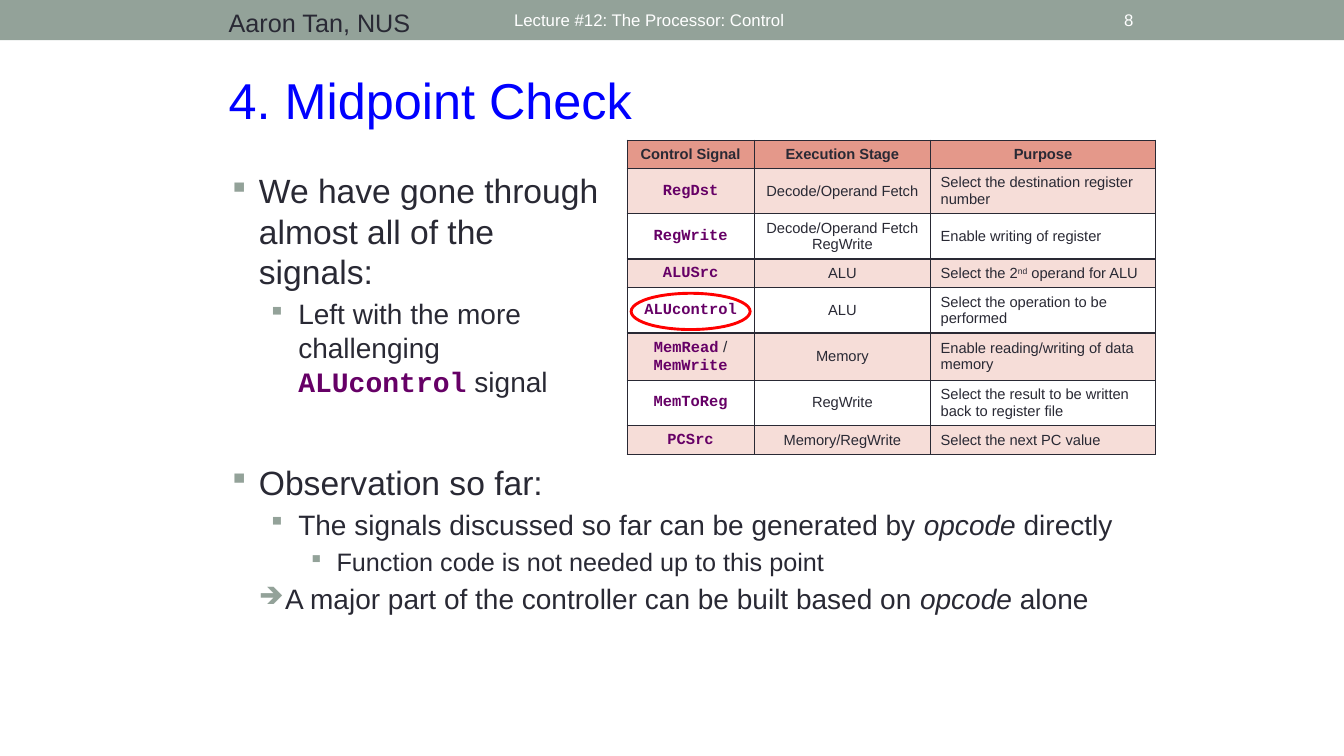
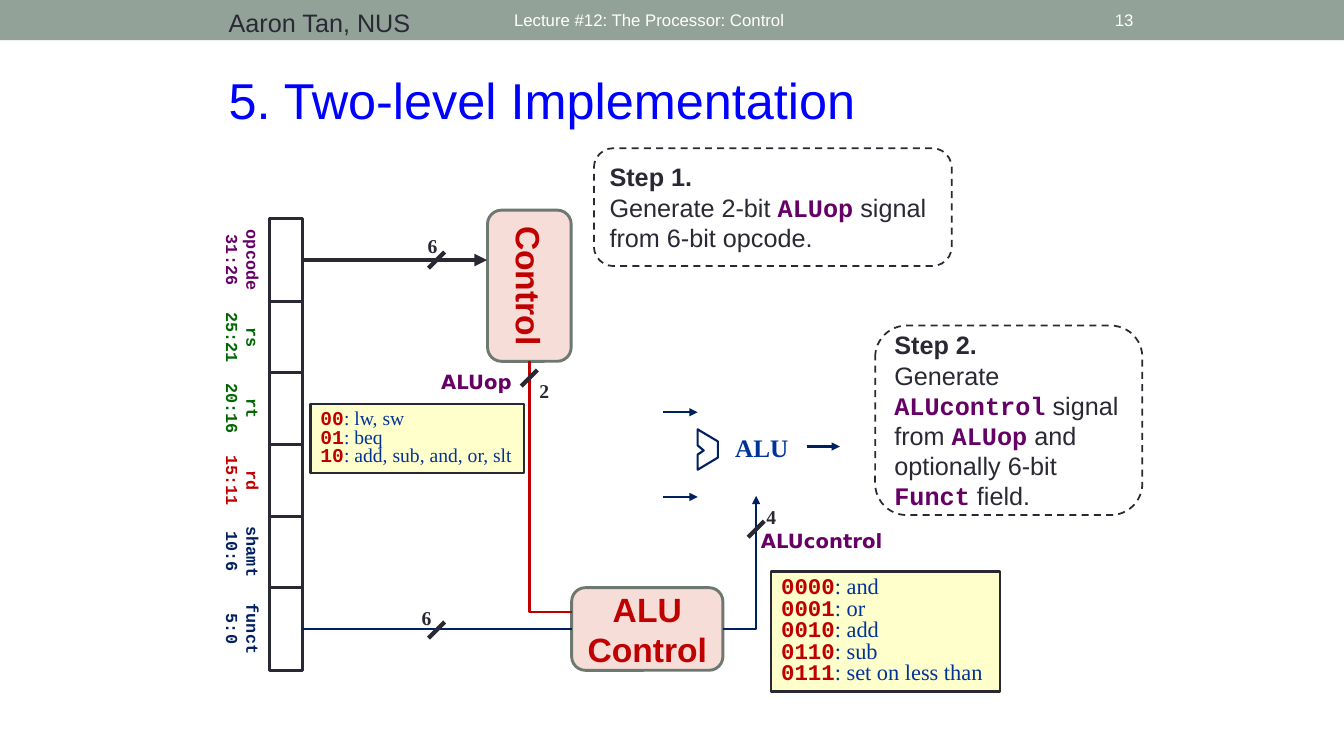
from lxml import etree
from pptx import Presentation
from pptx.dml.color import RGBColor
from pptx.enum.dml import MSO_LINE
from pptx.enum.shapes import MSO_CONNECTOR, MSO_SHAPE
from pptx.enum.text import MSO_ANCHOR, PP_ALIGN
from pptx.oxml.ns import qn
from pptx.util import Inches, Pt

RECTANGLE, ROUNDED, ELLIPSE = MSO_SHAPE.RECTANGLE, MSO_SHAPE.ROUNDED_RECTANGLE, MSO_SHAPE.OVAL
STRAIGHT, ELBOW = MSO_CONNECTOR.STRAIGHT, MSO_CONNECTOR.ELBOW
LEFT, CENTER, RIGHT = PP_ALIGN.LEFT, PP_ALIGN.CENTER, PP_ALIGN.RIGHT
TOP, MIDDLE = MSO_ANCHOR.TOP, MSO_ANCHOR.MIDDLE
SANS, MONO, SERIF, LABEL = "Arial", "Courier New", "Times New Roman", "DejaVu Sans"

COLORS = {
    "band": "93A299", "ink": "292934", "white": "FFFFFF", "title": "0000FF",
    "purple": "660066", "green": "006600", "red": "C00000", "navy": "002060",
    "blue": "003399", "header": "E4988A", "pink": "F6DDD8", "yellow": "FFFFCC",
    "edge": "6D7871", "ring": "FF0000",
}
RGB = {name: RGBColor.from_string(value) for name, value in COLORS.items()}
STYLES = {
    "code": {"name": MONO, "bold": True, "color": "purple"},
    "bits": {"name": MONO, "bold": True, "color": "red"},
    "bold": {"bold": True},
    "italic": {"italic": True},
    "superscript": {"baseline": "30000"},
}
BULLETS = {
    "first": (24, "▪", 0.3, 0.3),
    "second": (20, "▪", 0.69, 0.3),
    "third": (18, "▪", 1.07, 0.28),
    "arrow": (20, "➔", 0.56, 0.26),
}


def add_box(page, kind, left, top, width, height, fill=None, line=None, weight=1.0):
    place = [Inches(value) for value in (left, top, width, height)]
    if kind is None:
        return page.shapes.add_textbox(*place)
    box = page.shapes.add_shape(kind, *place)
    box.shadow.inherit = False
    if fill:
        box.fill.solid()
        box.fill.fore_color.rgb = RGB[fill]
    else:
        box.fill.background()
    if line:
        box.line.color.rgb = RGB[line]
        box.line.width = Pt(weight)
    else:
        box.line.fill.background()
    return box


def write_text(frame, lines, size, color="ink", font=SANS, bold=False, align=LEFT,
               anchor=MIDDLE, wrap=True, spacing=None, levels=None):
    frame.word_wrap = wrap
    frame.vertical_anchor = anchor
    for index, line in enumerate(lines):
        para = frame.add_paragraph() if index else frame.paragraphs[0]
        para.alignment = align
        if spacing:
            para.line_spacing = spacing
        if levels:
            size, marker, indent, hang = BULLETS[levels[index]]
            properties = para._p.get_or_add_pPr()
            properties.set("marL", str(Inches(indent)))
            properties.set("indent", str(-Inches(hang)))
            tint = etree.SubElement(properties, qn("a:buClr"))
            etree.SubElement(tint, qn("a:srgbClr"), val=COLORS["band"])
            etree.SubElement(properties, qn("a:buSzPct"), val="85000")
            etree.SubElement(properties, qn("a:buChar"), char=marker)
            if index:
                para.space_before = Pt(size * 0.2)
        para.font.size = Pt(size)
        para.font.name = font
        para.font.bold = bold
        para.font.color.rgb = RGB[color]
        for piece in [line] if isinstance(line, str) else line:
            text, style = (piece, None) if isinstance(piece, str) else piece
            span = para.add_run()
            span.text = text
            for attribute, value in STYLES.get(style, {}).items():
                if attribute == "color":
                    span.font.color.rgb = RGB[value]
                elif attribute == "baseline":
                    span._r.get_or_add_rPr().set("baseline", value)
                else:
                    setattr(span.font, attribute, value)


deck = Presentation()
deck.slide_width, deck.slide_height = Inches(13.33), Inches(7.5)

pages = []
for title, number in [("4. Midpoint Check", "8"), ("5. Two-level Implementation", "13")]:
    page = deck.slides.add_slide(deck.slide_layouts[6])
    add_box(page, RECTANGLE, 0, 0, 13.33, 0.4, "band")
    for place, text, size, color, align, anchor in [
        ((5, 0.02, 6, 0.36), "Lecture #12: The Processor: Control", 12, "white", LEFT, MIDDLE),
        ((2.17, 0.02, 3.17, 0.36), "Aaron Tan, NUS", 18, "ink", LEFT, TOP),
        ((2.17, 0.64, 9.17, 0.71), title, 36, "title", LEFT, TOP),
        ((10.39, 0.02, 0.95, 0.36), number, 12, "white", RIGHT, MIDDLE),
    ]:
        box = add_box(page, None, *place)
        write_text(box.text_frame, [text], size, color, align=align, anchor=anchor)
    pages.append(page)
check_page, diagram_page = pages

signals = [
    (["Control Signal"], ["Execution Stage"], ["Purpose"]),
    ([[("RegDst", "code")]], ["Decode/Operand Fetch"], ["Select the destination register number"]),
    ([[("RegWrite", "code")]], ["Decode/Operand Fetch", "RegWrite"], ["Enable writing of register"]),
    ([[("ALUSrc", "code")]], ["ALU"],
     [["Select the 2", ("nd", "superscript"), " operand for ALU"]]),
    ([[("ALUcontrol", "code")]], ["ALU"], ["Select the operation to be performed"]),
    ([[("MemRead", "code"), " / ", ("MemWrite", "code")]], ["Memory"],
     ["Enable reading/writing of data memory"]),
    ([[("MemToReg", "code")]], ["RegWrite"], ["Select the result to be written back to register file"]),
    ([[("PCSrc", "code")]], ["Memory/RegWrite"], ["Select the next PC value"]),
]
table = check_page.shapes.add_table(
    len(signals), 3, Inches(6.22), Inches(1.39), Inches(5.24), Inches(3.11)).table
table.first_row = table.horz_banding = False
for column, width in zip(table.columns, [1.26, 1.75, 2.23]):
    column.width = Inches(width)
for row, height in zip(table.rows, [0.28, 0.45, 0.45, 0.28, 0.45, 0.46, 0.45, 0.29]):
    row.height = Inches(height)
for row_index, texts in enumerate(signals):
    header = row_index == 0
    fill = "header" if header else "pink" if row_index % 2 else "white"
    for column_index, lines in enumerate(texts):
        cell = table.cell(row_index, column_index)
        for side in ("a:lnL", "a:lnR", "a:lnT", "a:lnB"):
            border = etree.SubElement(cell._tc.get_or_add_tcPr(), qn(side), w=str(Pt(1)))
            paint = etree.SubElement(border, qn("a:solidFill"))
            etree.SubElement(paint, qn("a:srgbClr"), val=COLORS["ink"])
        cell.fill.solid()
        cell.fill.fore_color.rgb = RGB[fill]
        cell.vertical_anchor = MIDDLE
        size = 11 if column_index == 0 and not header else 10.5
        align = CENTER if header or column_index < 2 else LEFT
        write_text(cell.text_frame, lines, size, bold=header, align=align, anchor=None)

progress = add_box(check_page, None, 2.17, 1.64, 3.93, 2.52)
write_text(progress.text_frame, [
    "We have gone through almost all of the signals:",
    ["Left with the more challenging ", ("ALUcontrol", "code"), " signal"],
], 24, anchor=TOP, levels=["first", "second"])
add_box(check_page, ELLIPSE, 6.26, 2.91, 1.18, 0.36, line="ring", weight=2.08)
observation = add_box(check_page, None, 2.17, 4.53, 9.1, 1.85)
write_text(observation.text_frame, [
    "Observation so far:",
    ["The signals discussed so far can be generated by ", ("opcode", "italic"), " directly"],
    "Function code is not needed up to this point",
    ["A major part of the controller can be built based on ", ("opcode", "italic"), " alone"],
], 24, anchor=TOP, levels=["first", "second", "third", "arrow"])

fields = []
field_top = 2.17
for name, bits, height, color in [
    ("opcode", "31:26", 0.82, "purple"), ("rs", "25:21", 0.71, "green"),
    ("rt", "20:16", 0.71, "green"), ("rd", "15:11", 0.71, "red"),
    ("shamt", "10:6", 0.71, "navy"), ("funct", "5:0", 0.82, "navy"),
]:
    label = add_box(diagram_page, None, 2.41 - height / 2, field_top + height / 2 - 0.25, height, 0.5)
    label.rotation = 90
    write_text(label.text_frame, [name, bits], 12, color, MONO, True, CENTER)
    fields.append(add_box(diagram_page, RECTANGLE, 2.67, field_top, 0.33, height,
                          "white", "ink", 2.08))
    field_top += height

control = add_box(diagram_page, ROUNDED, 4.5, 2.42, 1.5, 0.83, "pink", "edge", 2.08)
control.rotation = 90
alu_control = add_box(diagram_page, ROUNDED, 5.67, 5.83, 1.5, 0.82, "pink", "edge", 2.08)
for box, text in [(control, "Control"), (alu_control, "ALU Control")]:
    write_text(box.text_frame, [text], 24, "red", bold=True, align=CENTER)

outline = [(6.92, 4.26), (7.12, 4.38), (7.12, 4.54), (6.92, 4.66),
           (6.92, 4.51), (6.98, 4.47), (6.92, 4.42)]
points = [(Inches(x), Inches(y)) for x, y in outline]
builder = diagram_page.shapes.build_freeform(*points[0])
builder.add_line_segments(points[1:], close=True)
alu = builder.convert_to_shape()
alu.shadow.inherit = False
alu.fill.solid()
alu.fill.fore_color.rgb = RGB["white"]
alu.line.color.rgb = RGB["navy"]
alu.line.width = Pt(1.5)

wires = [
    (STRAIGHT, (3, 2.58, 4.83, 2.58), "ink", 3, True, fields[0], None),
    (STRAIGHT, (3, 6.24, 5.67, 6.24), "navy", 1.75, False, fields[-1], alu_control),
    (STRAIGHT, (6.58, 4.09, 6.92, 4.09), "navy", 1.5, True, None, None),
    (STRAIGHT, (6.58, 4.93, 6.92, 4.93), "navy", 1.5, True, None, None),
    (STRAIGHT, (8, 4.43, 8.33, 4.43), "navy", 1.5, True, None, None),
    (ELBOW, (5.67, 6.07, 5.25, 3.58), "red", 1.75, False, None, None),
    (ELBOW, (7.17, 6.24, 7.5, 4.92), "navy", 1.75, True, None, None),
]
for x, y in [(4.33, 2.58), (4.33, 6.25), (7.5, 5.25), (5.25, 3.75)]:
    wires.append((STRAIGHT, (x + 0.08, y - 0.08, x - 0.08, y + 0.08), "ink", 3, False, None, None))
for kind, ends, color, weight, arrow, source, target in wires:
    wire = diagram_page.shapes.add_connector(kind, *[Inches(value) for value in ends])
    wire.line.color.rgb = RGB[color]
    wire.line.width = Pt(weight)
    if kind == ELBOW:
        wire._element.spPr.find(qn("a:prstGeom")).set("prst", "bentConnector2")
    if arrow:
        etree.SubElement(wire.line._get_or_add_ln(), qn("a:tailEnd"), type="triangle")
    etree.SubElement(wire._element.spPr, qn("a:effectLst"))
    if source:
        wire.begin_connect(source, 3)
    if target:
        wire.end_connect(target, 1)

for place, text, size, color, font, spacing in [
    ((4.14, 2.31, 0.3, 0.29), "6", 14, "ink", SERIF, 0.8),
    ((4.08, 6, 0.3, 0.29), "6", 14, "ink", SERIF, 0.8),
    ((7.5, 5, 0.3, 0.29), "4", 14, "ink", SERIF, 0.8),
    ((5.25, 3.75, 0.3, 0.29), "2", 14, "ink", SERIF, 0.8),
    ((7.19, 4.29, 0.73, 0.35), "ALU", 18, "blue", SERIF, 0.8),
    ((7.44, 5.19, 1.42, 0.34), "ALUcontrol", 14, "purple", LABEL, None),
    ((4.27, 3.62, 0.91, 0.34), "ALUop", 14, "purple", LABEL, None),
]:
    box = add_box(diagram_page, None, *place)
    write_text(box.text_frame, [text], size, color, font, True, CENTER, wrap=False, spacing=spacing)

for place, size, codes in [
    ((3.08, 4.01, 2.12, 0.68), 14,
     [("00", "lw, sw"), ("01", "beq"), ("10", "add, sub, and, or, slt")]),
    ((7.65, 5.67, 2.27, 1.19), 16,
     [("0000", "and"), ("0001", "or"), ("0010", "add"), ("0110", "sub"), ("0111", "set on less than")]),
]:
    box = add_box(diagram_page, RECTANGLE, *place, "yellow", "ink", 1.5)
    lines = [[(bits, "bits"), f": {meaning}"] for bits, meaning in codes]
    write_text(box.text_frame, lines, size, "blue", SERIF, wrap=False, spacing=0.8)

for place, heading, sentence in [
    ((5.89, 1.47, 3.55, 1.17), "Step 1.",
     ["Generate 2-bit ", ("ALUop", "code"), " signal from 6-bit opcode."]),
    ((8.68, 3.23, 2.65, 1.88), "Step 2.",
     ["Generate ", ("ALUcontrol", "code"), " signal from ", ("ALUop", "code"),
      " and optionally 6-bit ", ("Funct", "code"), " field."]),
]:
    box = add_box(diagram_page, ROUNDED, *place, "white", "ink", 1.25)
    box.line.dash_style = MSO_LINE.DASH
    write_text(box.text_frame, [[(heading, "bold")], sentence], 18)

deck.save("out.pptx")
